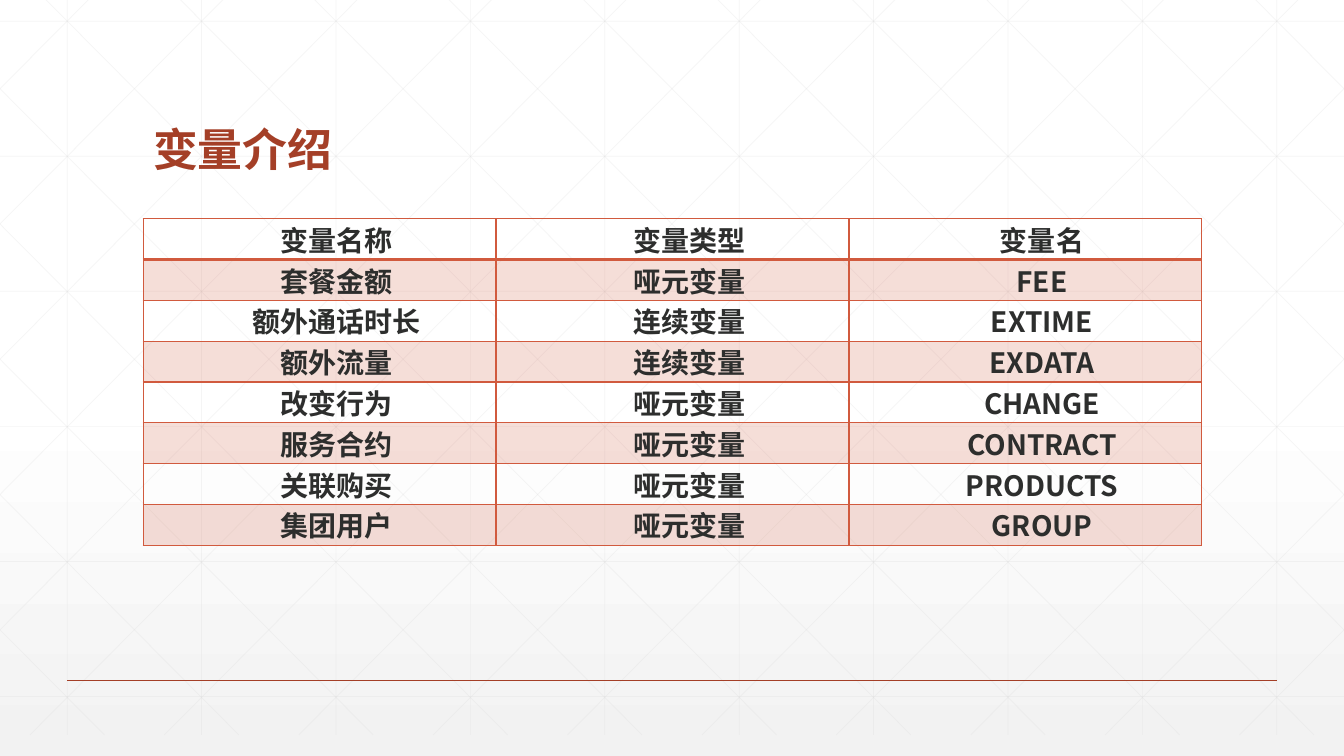
"""Build the slide that introduces the variables in a table over a lattice."""
from typing import NamedTuple

from lxml.etree import SubElement
from pptx import Presentation
from pptx.dml.color import RGBColor
from pptx.enum.shapes import MSO_CONNECTOR as Connector
from pptx.enum.text import MSO_ANCHOR as Anchor, PP_ALIGN as Align
from pptx.oxml.ns import qn
from pptx.util import Inches, Pt

COLORS = {
    "paper": "FFFFFF",
    "mist": "F2F2F2",
    "lattice": "D9D9D9",
    "rust": "A43F27",
    "brick": "D15A3E",
    "ink": "2D2E2D",
}
FONT = "Noto Sans CJK SC"
WIDTH, HEIGHT = 13.33, 7.5
COLUMN, ROW = WIDTH / 10, 1.34
TOP, BOTTOM = -0.21, 7.29
DIAGONAL_RUN = 7.45
LEFT, TABLE_WIDTH = 1.42, 10.5
TABLE_TOP, ROW_HEIGHT = 2.17, 0.405


class Variable(NamedTuple):
    label: str
    kind: str
    code: str


VARIABLES = [
    Variable("变量名称", "变量类型", "变量名"),
    Variable("套餐金额", "哑元变量", "FEE"),
    Variable("额外通话时长", "连续变量", "EXTIME"),
    Variable("额外流量", "连续变量", "EXDATA"),
    Variable("改变行为", "哑元变量", "CHANGE"),
    Variable("服务合约", "哑元变量", "CONTRACT"),
    Variable("关联购买", "哑元变量", "PRODUCTS"),
    Variable("集团用户", "哑元变量", "GROUP"),
]


class Segment(NamedTuple):
    x1: float
    y1: float
    x2: float
    y2: float

    def mirrored(self) -> "Segment":
        return Segment(WIDTH - self.x1, self.y1, WIDTH - self.x2, self.y2)


def add_color(parent, color: str, opacity: int = 100) -> None:
    srgb = SubElement(parent, qn("a:srgbClr"), val=COLORS[color])
    if opacity < 100:
        SubElement(srgb, qn("a:alpha"), val=str(opacity * 1000))


def paint_background(slide) -> None:
    fill = slide.background.fill
    fill.gradient()
    fill.gradient_angle = 270
    stops = next(slide.element.iter(qn("a:gsLst")))
    for stop in list(stops):
        stops.remove(stop)
    for share, color in ((0, "paper"), (53, "paper"), (100, "mist")):
        add_color(SubElement(stops, qn("a:gs"), pos=str(share * 1000)), color)


def draw_line(shapes, segment: Segment, color: str, width: float, opacity: int = 100) -> None:
    line = shapes.add_connector(Connector.STRAIGHT, *(Inches(v) for v in segment))
    line.line.width = Pt(width)
    line.line.color.rgb = RGBColor.from_string(COLORS[color])
    properties = line.element.spPr
    if opacity < 100:
        srgb = next(properties.iter(qn("a:srgbClr")))
        SubElement(srgb, qn("a:alpha"), val=str(opacity * 1000))
    SubElement(properties, qn("a:effectLst"))


def falling_diagonal(index: int) -> Segment:
    start = 0.25 + index * COLUMN
    slope = (BOTTOM - TOP) / DIAGONAL_RUN
    x1, x2 = max(start, 0), min(start + DIAGONAL_RUN, WIDTH)
    return Segment(x1, TOP + (x1 - start) * slope, x2, TOP + (x2 - start) * slope)


def lattice_segments() -> list[Segment]:
    verticals = [Segment(x, TOP, x, BOTTOM) for x in ((i + 0.5) * COLUMN for i in range(10))]
    horizontals = [Segment(0, y, WIDTH, y) for y in (0.21 + i * ROW for i in range(6))]
    falling = [falling_diagonal(i) for i in range(-5, 10)]
    return verticals + horizontals + falling + [s.mirrored() for s in falling]


def style_run(run, size: float, color: str) -> None:
    run.font.name = FONT
    run.font.size = Pt(size)
    run.font.bold = True
    run.font.color.rgb = RGBColor.from_string(COLORS[color])
    SubElement(run.font._element, qn("a:ea"), typeface=FONT)


def add_heading(slide, wording: str) -> None:
    box = slide.shapes.add_textbox(Inches(LEFT), Inches(0.55), Inches(TABLE_WIDTH), Inches(1.25))
    frame = box.text_frame
    frame.word_wrap = True
    frame.vertical_anchor = Anchor.BOTTOM
    frame.text = wording
    frame.paragraphs[0].line_spacing = 0.9
    style_run(frame.paragraphs[0].runs[0], 32, "rust")


def style_cell(cell, wording: str, banded: bool, bottom_width: float) -> None:
    cell.margin_left = cell.margin_right = Inches(0.07)
    cell.margin_top = cell.margin_bottom = 0
    cell.text_frame.text = wording
    paragraph = cell.text_frame.paragraphs[0]
    paragraph.alignment = Align.CENTER
    indents = paragraph._p.get_or_add_pPr()
    indents.set("marL", "0")
    indents.set("indent", str(Inches(0.33)))
    style_run(paragraph.runs[0], 20, "ink")

    properties = cell._tc.get_or_add_tcPr()
    for side, width in (("L", 1), ("R", 1), ("T", 1), ("B", bottom_width)):
        border = SubElement(properties, qn(f"a:ln{side}"), w=str(Pt(width)))
        add_color(SubElement(border, qn("a:solidFill")), "brick")
    if banded:
        add_color(SubElement(properties, qn("a:solidFill")), "brick", 20)
    else:
        SubElement(properties, qn("a:noFill"))


def add_variable_table(slide) -> None:
    columns = len(Variable._fields)
    table = slide.shapes.add_table(
        len(VARIABLES), columns, Inches(LEFT), Inches(TABLE_TOP),
        Inches(TABLE_WIDTH), Inches(ROW_HEIGHT * len(VARIABLES)),
    ).table
    table.first_row = table.horz_banding = False
    for row, variable in enumerate(VARIABLES):
        for column, wording in enumerate(variable):
            style_cell(table.cell(row, column), wording, row % 2 == 1, 1 if row else 2)


def main() -> None:
    deck = Presentation()
    deck.slide_width, deck.slide_height = Inches(WIDTH), Inches(HEIGHT)
    slide = deck.slides.add_slide(deck.slide_layouts[6])
    paint_background(slide)
    lattice = slide.shapes.add_group_shape()
    for segment in lattice_segments():
        draw_line(lattice.shapes, segment, "lattice", 0.5, 25)
    base = HEIGHT * 0.9
    draw_line(slide.shapes, Segment(COLUMN / 2, base, WIDTH - COLUMN / 2, base), "rust", 1)
    add_heading(slide, "变量介绍")
    add_variable_table(slide)
    deck.save("out.pptx")


if __name__ == "__main__":
    main()
